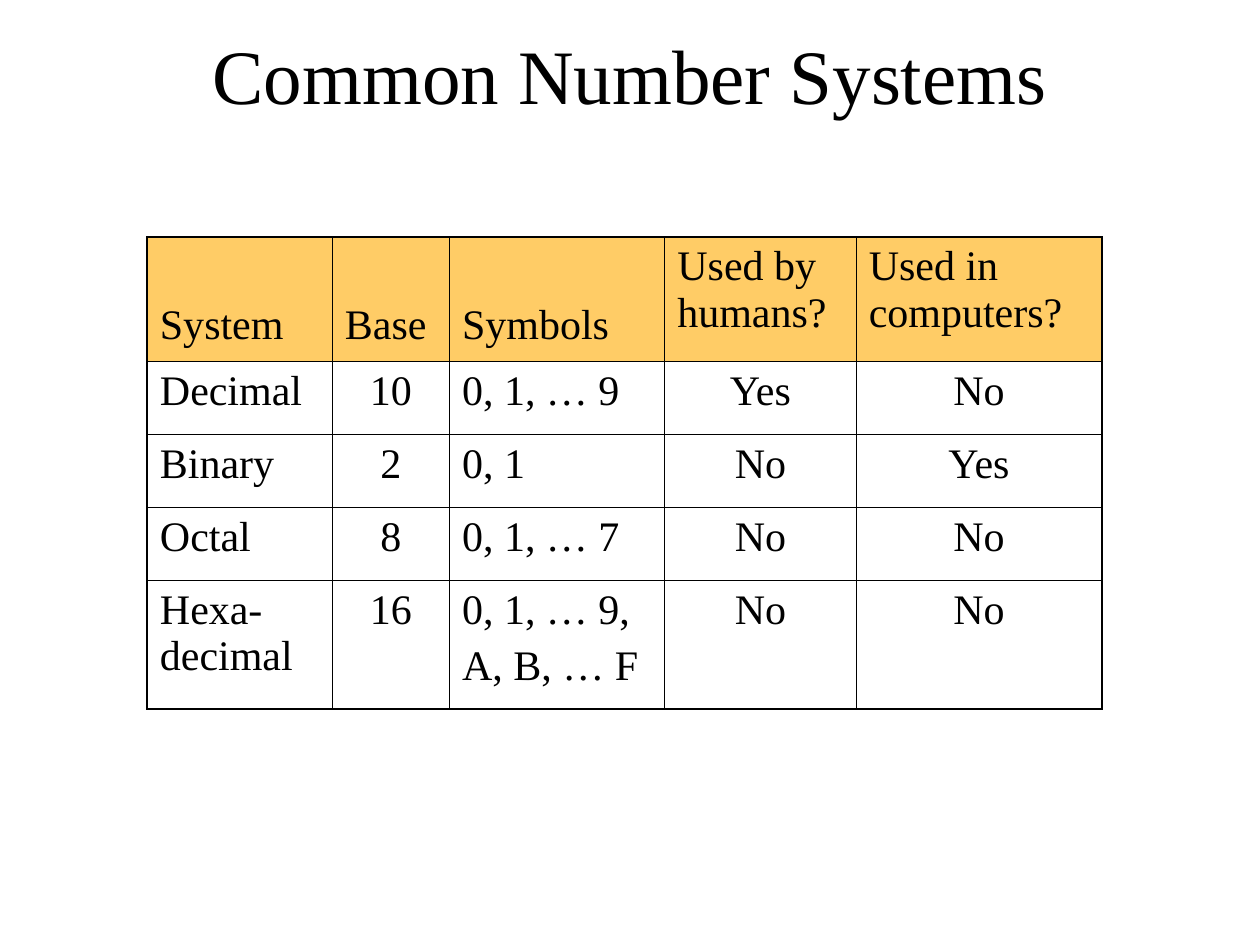
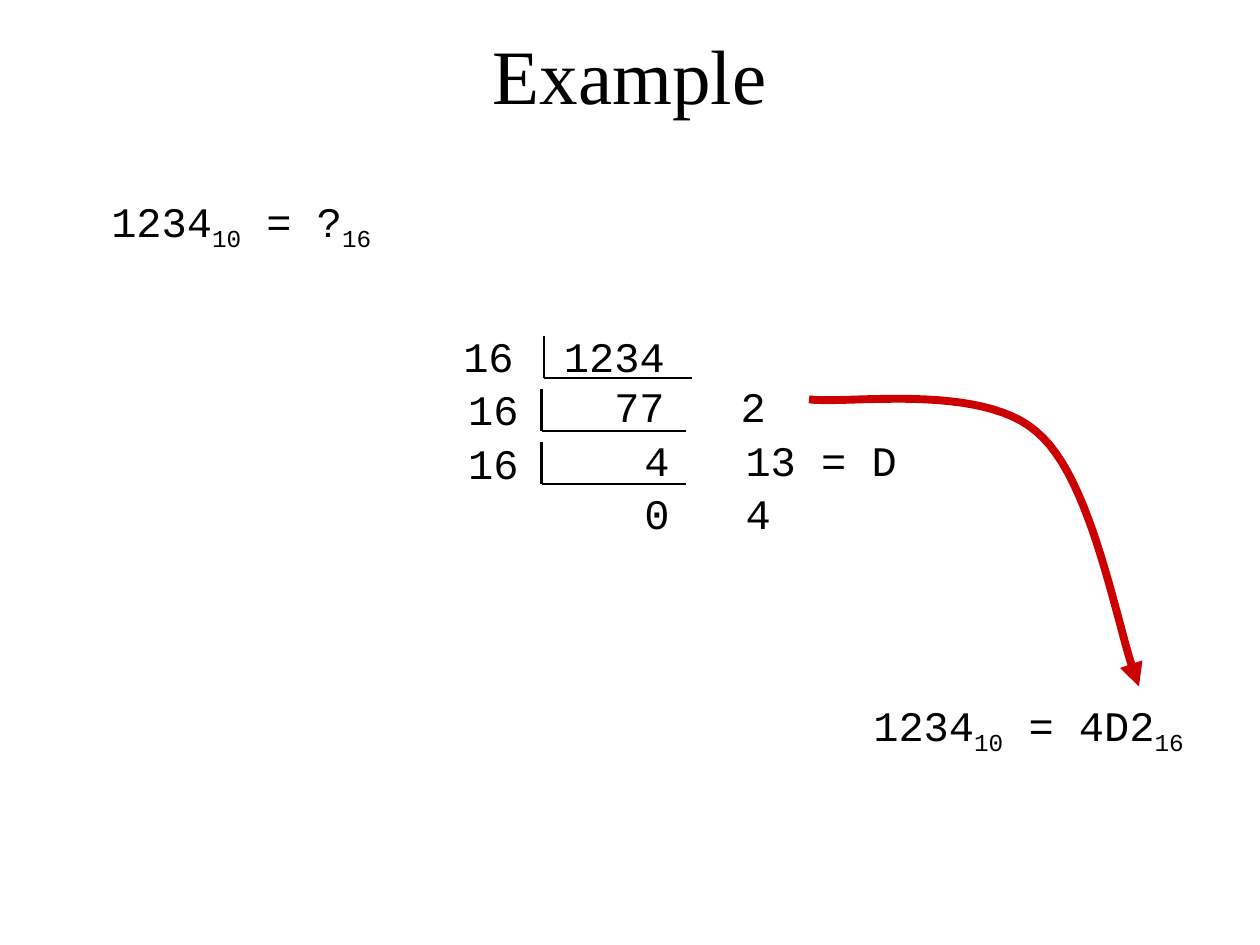
from lxml import etree
from pptx import Presentation
from pptx.dml.color import RGBColor
from pptx.enum.shapes import MSO_CONNECTOR
from pptx.enum.text import MSO_ANCHOR, PP_ALIGN
from pptx.oxml.ns import qn
from pptx.util import Cm, Pt

LINE = MSO_CONNECTOR.STRAIGHT
LEFT, MID = PP_ALIGN.LEFT, PP_ALIGN.CENTER
TOP, CENTER, BOTTOM = MSO_ANCHOR.TOP, MSO_ANCHOR.MIDDLE, MSO_ANCHOR.BOTTOM


class Theme:
    ink = RGBColor(0, 0, 0)
    head = RGBColor(0xFF, 0xCC, 0x66)
    arrow = RGBColor(0xCC, 0, 0)
    serif, mono = "Times New Roman", "Courier New"
    title, body = 44, 24
    thin, thick, rule, curve = 0.45, 1.08, 1.5, 4.5


def write(frame, text, font=Theme.serif, size=Theme.body, align=LEFT,
          anchor=TOP, gap=0, tabs=()):
    """Fill a frame: newline starts a paragraph, \v breaks a line, |x| is a subscript."""
    frame.word_wrap = True
    frame.vertical_anchor = anchor
    for num, line in enumerate(text.split("\n")):
        para = frame.add_paragraph() if num else frame.paragraphs[0]
        para.alignment = align
        para.space_before = Pt(gap if num else 0)
        if tabs:
            stops = etree.SubElement(para._p.get_or_add_pPr(), qn("a:tabLst"))
            for pos, kind in tabs:
                etree.SubElement(stops, qn("a:tab"), pos=str(Cm(pos)), algn=kind)
        for row, part in enumerate(line.split("\v")):
            if row:
                para.add_line_break()
            for side, piece in enumerate(part.split("|")):
                if not piece:
                    continue
                run = para.add_run()
                run.text = piece
                run.font.name = font
                run.font.size = Pt(size)
                run.font.color.rgb = Theme.ink
                if side % 2:
                    run.font._element.set("baseline", "-25000")


def add_text(slide, text, left, top, width, height, **form):
    box = slide.shapes.add_textbox(Cm(left), Cm(top), Cm(width), Cm(height))
    write(box.text_frame, text, **form)


deck = Presentation()
deck.slide_width, deck.slide_height = Cm(25.4), Cm(19.05)

# Slides with the shared title
slides = []
for name in ("Common Number Systems", "Example"):
    slide = deck.slides.add_slide(deck.slide_layouts[6])
    add_text(slide, name, 1.9, 0.43, 21.6, 2.11, size=Theme.title,
             align=MID, anchor=CENTER)
    slides.append(slide)
systems, sample = slides

# Table of number systems
rows = [
    ("System", "Base", "Symbols", "Used by humans?", "Used in computers?"),
    ("Decimal", "10", "0, 1, … 9", "Yes", "No"),
    ("Binary", "2", "0, 1", "No", "Yes"),
    ("Octal", "8", "0, 1, … 7", "No", "No"),
    ("Hexa-\vdecimal", "16", "0, 1, … 9,\nA, B, … F", "No", "No"),
]
widths = (3.73, 2.36, 4.34, 3.86, 4.95)
heights = (2.51, 1.47, 1.47, 1.47, 2.59)
table = systems.shapes.add_table(len(rows), len(widths), Cm(2.97), Cm(4.78),
                                 Cm(sum(widths)), Cm(sum(heights))).table
table.first_row = table.horz_banding = False
for col, width in zip(table.columns, widths):
    col.width = Cm(width)
for row, height in zip(table.rows, heights):
    row.height = Cm(height)

for r, row in enumerate(rows):
    for c, text in enumerate(row):
        cell = table.cell(r, c)
        low = r == 0 and c < 3
        write(cell.text_frame, text, gap=6,
              align=MID if r and c in (1, 3, 4) else LEFT)
        cell.vertical_anchor = BOTTOM if low else TOP
        if low:
            cell.margin_bottom = Cm(0.26)
        # Borders: heavier around the outside
        edges = {"lnL": c == 0, "lnR": c == len(widths) - 1,
                 "lnT": r == 0, "lnB": r == len(rows) - 1}
        props = cell._tc.get_or_add_tcPr()
        for tag, outer in edges.items():
            size = Pt(Theme.thick if outer else Theme.thin)
            edge = etree.SubElement(props, qn("a:" + tag), w=str(size))
            fill = etree.SubElement(edge, qn("a:solidFill"))
            etree.SubElement(fill, qn("a:srgbClr"), val=str(Theme.ink))
        if r == 0:
            cell.fill.solid()
            cell.fill.fore_color.rgb = Theme.head
        else:
            cell.fill.background()

# Question and answer
for text, left, top in (("1234|10| = ?|16|", 0.84, 3.81),
                        ("1234|10| = 4D2|16|", 16.71, 13.97)):
    add_text(sample, text, left, top, 8.05, 1.42, font=Theme.mono, align=MID)

# Curved arrow, traced through its Bézier arcs
start = (16.31, 8.05)
arcs = [((17.07, 8.15), (19.76, 7.72), (20.88, 8.69)),
        ((22.05, 9.63), (22.53, 12.78), (22.96, 13.84))]
count, points, here = 24, [], start
for one, two, end in arcs:
    for step in range(1, count + 1):
        t = step / count
        u = 1 - t
        points.append(tuple(
            Cm(u**3 * a + 3 * u * u * t * b + 3 * u * t * t * d + t**3 * e)
            for a, b, d, e in zip(here, one, two, end)))
    here = end
path = sample.shapes.build_freeform(Cm(start[0]), Cm(start[1]))
path.add_line_segments(points, close=False)
arrow = path.convert_to_shape()
arrow.shadow.inherit = False
arrow.fill.background()
arrow.line.color.rgb = Theme.arrow
arrow.line.width = Pt(Theme.curve)
etree.SubElement(arrow.line._get_or_add_ln(), qn("a:tailEnd"), type="triangle")

# Repeated division: text, then the bracket of each step
steps = [("16\t1234\n\t77\t2", 9.09, 10.97, 13.94),
         ("16\n\t4\t13 = D", 9.19, 10.92, 13.82),
         ("16\n\t0\t4", 9.19, 10.92, 13.82)]
for num, (text, left, near, far) in enumerate(steps):
    add_text(sample, text, left, 6.53 + 1.08 * num, 9.86, 2.29,
             font=Theme.mono, tabs=((4.06, "r"), (5.59, "l")))
    high = 6.78 + 1.07 * num
    base = high + 0.84
    for x1, y1, x2, y2 in ((near, high, near, base), (near, base, far, base)):
        bar = sample.shapes.add_connector(LINE, Cm(x1), Cm(y1), Cm(x2), Cm(y2))
        bar.line.color.rgb = Theme.ink
        bar.line.width = Pt(Theme.rule)
        etree.SubElement(bar._element.spPr, qn("a:effectLst"))

deck.save("out.pptx")
